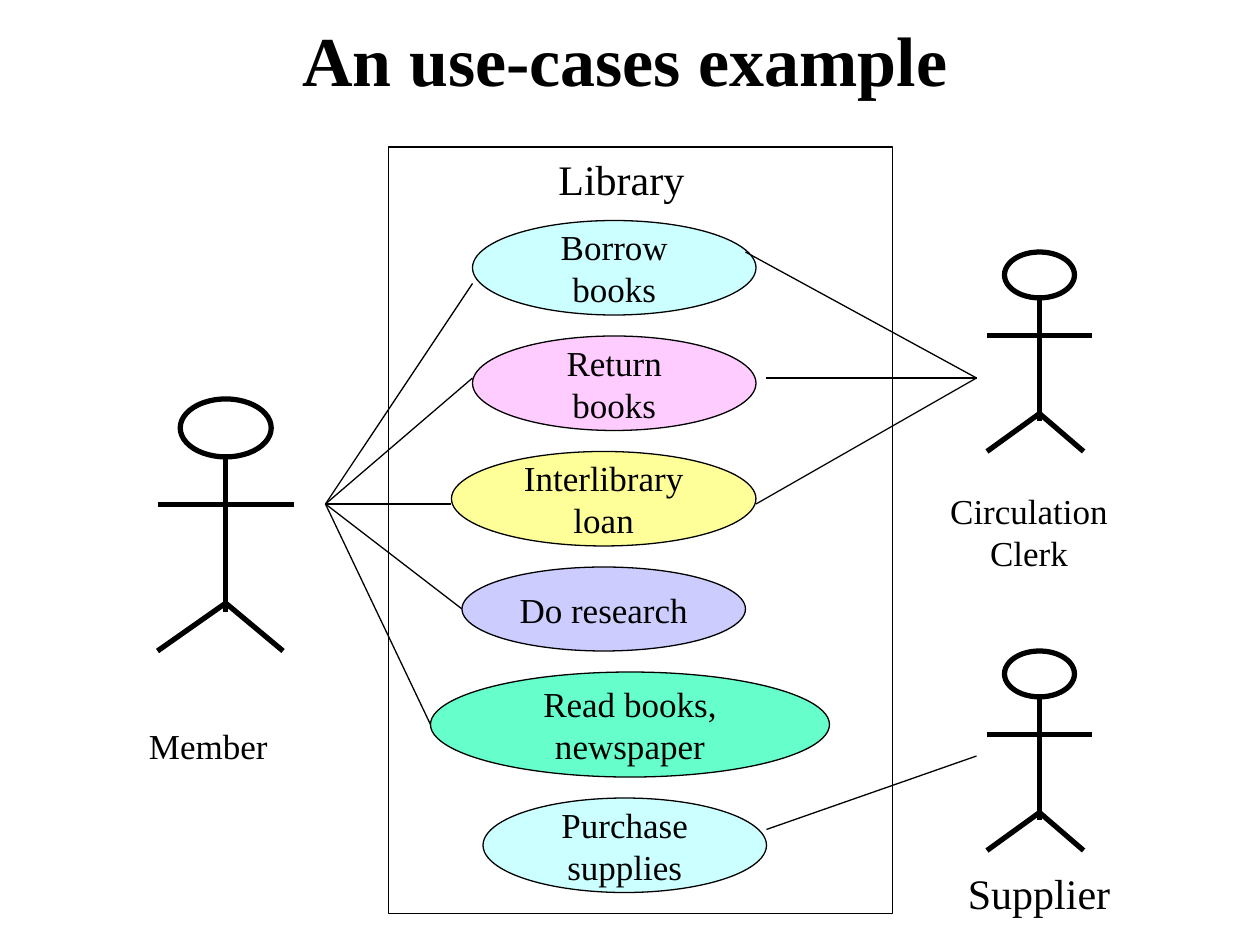
"""Build a slide with a use-case diagram of a library."""
import pptx
import pptx.dml.color
import pptx.enum.shapes
import pptx.enum.text
import pptx.oxml.ns
import pptx.util
import lxml.etree

Pt = pptx.util.Pt
color = pptx.dml.color.RGBColor.from_string
SHAPE = pptx.enum.shapes.MSO_SHAPE
ANCHOR = pptx.enum.text.MSO_ANCHOR
ALIGN = pptx.enum.text.PP_ALIGN


def add_outlined(shapes, kind, box, fill, width):
    shape = shapes.add_shape(kind, *[Pt(length) for length in box])
    shape.shadow.inherit = False
    shape.fill.solid()
    shape.fill.fore_color.rgb = color(fill)
    shape.line.color.rgb = color("000000")
    shape.line.width = Pt(width)
    return shape


def add_line(shapes, start, end, width):
    line = shapes.add_connector(
        pptx.enum.shapes.MSO_CONNECTOR.STRAIGHT, *[Pt(length) for length in (*start, *end)])
    line.line.color.rgb = color("000000")
    line.line.width = Pt(width)
    lxml.etree.SubElement(line._element.spPr, pptx.oxml.ns.qn("a:effectLst"))


presentation = pptx.Presentation()
presentation.slide_width = Pt(720)
presentation.slide_height = Pt(540)
slide = presentation.slides.add_slide(presentation.slide_layouts[6])

add_outlined(slide.shapes, SHAPE.RECTANGLE, (222, 84, 288, 438), "FFFFFF", 0.75)

use_cases = [
    ("Borrow books", (270, 126, 162, 54), "CCFFFF"),
    ("Return books", (270, 192, 162, 54), "FFCCFF"),
    ("Interlibrary loan", (258, 258, 174, 54), "FFFF99"),
    ("Do research", (264, 324, 162, 48), "CCCCFF"),
    ("Read books, newspaper", (246, 384, 228, 60), "66FFCC"),
    ("Purchase supplies", (276, 456, 162, 54), "CCFFFF"),
]
labels = []
for text, box, fill in use_cases:
    oval = add_outlined(slide.shapes, SHAPE.OVAL, box, fill, 0.75)
    labels.append((oval, text, 20, ALIGN.CENTER, ANCHOR.MIDDLE))

captions = [
    ("An use-cases example", (66, 6, 582, 55.5), 40, ALIGN.CENTER),
    ("Library", (312, 84, 126, 36), 24, ALIGN.LEFT),
    ("Member", (78, 408, 90, 34), 20, ALIGN.LEFT),
    ("Circulation Clerk", (522, 276, 132, 55.5), 20, ALIGN.CENTER),
    ("Supplier", (546, 492, 138, 36), 24, ALIGN.LEFT),
]
for text, box, size, alignment in captions:
    caption = slide.shapes.add_textbox(*[Pt(length) for length in box])
    labels.append((caption, text, size, alignment, ANCHOR.TOP))

for shape, text, size, alignment, anchor in labels:
    frame = shape.text_frame
    frame.word_wrap = True
    frame.vertical_anchor = anchor
    paragraph = frame.paragraphs[0]
    paragraph.text = text
    paragraph.alignment = alignment
    paragraph.font.name = "Times New Roman"
    paragraph.font.size = Pt(size)
    paragraph.font.bold = size == 40
    paragraph.font.color.rgb = color("000000")
    if text == "Member":
        paragraph.line_spacing = 1.1

associations = [
    ((186, 288), [(270, 162), (270, 216), (258, 288), (264, 348), (246, 414)]),
    ((558, 216), [(426, 144), (438, 216), (432, 288)]),
    ((558, 432), [(438, 474)]),
]
for actor, ends in associations:
    for end in ends:
        add_line(slide.shapes, actor, end, 0.75)

limbs = [
    ((0.5, 0.23), (0.5, 0.845)),
    ((0, 0.42), (1, 0.42)),
    ((0.5, 0.81), (0, 1)),
    ((0.5, 0.81), (0.92, 1)),
]
for left, top, width, height in [(90, 228, 78, 144), (564, 144, 60, 114), (564, 372, 60, 114)]:
    figure = slide.shapes.add_group_shape()
    head = (left + width / 6, top, width * 2 / 3, height * 0.23)
    add_outlined(figure.shapes, SHAPE.OVAL, head, "FFFFFF", 3)
    for limb in limbs:
        start, end = [(left + x * width, top + y * height) for x, y in limb]
        add_line(figure.shapes, start, end, 3)

presentation.save("out.pptx")
